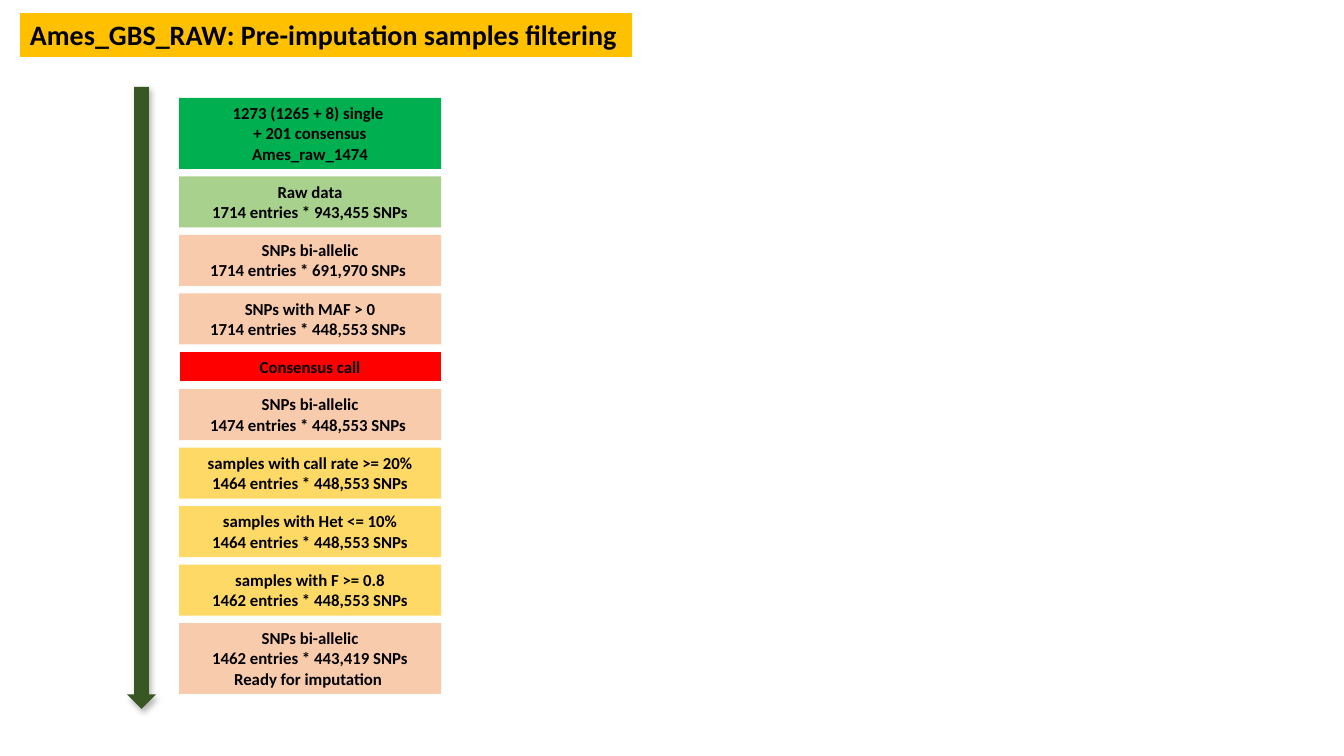
from dataclasses import dataclass

from lxml import etree
from pptx import Presentation, util as u
from pptx.dml.color import RGBColor
from pptx.enum import shapes, text
from pptx.oxml import ns

PIXEL = u.Inches(1) / 100.8
FONT = "Calibri"
GREEN, LIGHT_GREEN, RED = "00B050", "A9D18E", "FF0000"
SNP_FILTER, SAMPLE_FILTER = "F8CBAD", "FFD966"

STEP_LEFT, STEP_WIDTH = 179, 262
STEPS_TOP, STEPS_BOTTOM = 98, 694
HEIGHT_BY_LINES = {1: 30, 2: 51, 3: 71}


@dataclass(frozen=True)
class Step:
    fill: str
    lines: tuple[str, ...]
    outline: str = ""

    @property
    def height(self) -> int:
        return HEIGHT_BY_LINES[len(self.lines)]


STEPS = [
    Step(GREEN, ("1273 (1265 + 8) single ", "+ 201 consensus", "Ames_raw_1474")),
    Step(LIGHT_GREEN, ("Raw data", "1714 entries * 943,455 SNPs")),
    Step(SNP_FILTER, ("SNPs bi-allelic", "1714 entries * 691,970 SNPs ")),
    Step(SNP_FILTER, ("SNPs with MAF > 0", "1714 entries * 448,553 SNPs ")),
    Step(RED, ("Consensus call",), outline="FFFFFF"),
    Step(SNP_FILTER, ("SNPs bi-allelic", "1474 entries * 448,553 SNPs ")),
    Step(SAMPLE_FILTER, ("samples with call rate >= 20%", "1464 entries * 448,553 SNPs")),
    Step(SAMPLE_FILTER, ("samples with Het <= 10%", "1464 entries * 448,553 SNPs")),
    Step(SAMPLE_FILTER, ("samples with F >= 0.8", "1462 entries * 448,553 SNPs")),
    Step(SNP_FILTER, ("SNPs bi-allelic", "1462 entries * 443,419 SNPs", "Ready for imputation ")),
]


def px(length: float) -> int:
    return round(length * PIXEL)


def paint(fill, colour: str) -> None:
    fill.solid()
    fill.fore_color.rgb = RGBColor.from_string(colour)


def add_label(parent, left: float, top: float, width: float, height: float,
              fill: str, lines: tuple[str, ...], size: int,
              align: text.PP_ALIGN, wrap: bool):
    label = parent.add_textbox(px(left), px(top), px(width), px(height))
    paint(label.fill, fill)
    frame = label.text_frame
    frame.text = "\n".join(lines)
    frame.word_wrap = wrap
    frame.auto_size = text.MSO_AUTO_SIZE.SHAPE_TO_FIT_TEXT
    for paragraph in frame.paragraphs:
        paragraph.alignment = align
        for run in paragraph.runs:
            run.font.name, run.font.size, run.font.bold = FONT, u.Pt(size), True
            paint(run.font.fill, "000000")
    return label


def add_shadow(shape, colour: str, opacity: int, blur: float, distance: float, angle: int) -> None:
    shape.shadow.inherit = False
    effects = shape.element.spPr.find(ns.qn("a:effectLst"))
    shadow = etree.SubElement(
        effects, ns.qn("a:outerShdw"), blurRad=str(u.Pt(blur)), dist=str(u.Pt(distance)),
        dir=str(angle * 60000), algn="tl", rotWithShape="0")
    shade = etree.SubElement(shadow, ns.qn("a:srgbClr"), val=colour)
    etree.SubElement(shade, ns.qn("a:alpha"), val=str(opacity * 1000))


def add_flow_arrow(parent) -> None:
    arrow = parent.add_shape(shapes.MSO_SHAPE.DOWN_ARROW, px(127), px(87), px(29), px(622))
    paint(arrow.fill, "385723")
    arrow.line.fill.background()
    add_shadow(arrow, "000000", opacity=30, blur=4.5, distance=2.6, angle=53)


def add_steps(parent, steps: list[Step]) -> None:
    free = STEPS_BOTTOM - STEPS_TOP - sum(step.height for step in steps)
    gap = free / (len(steps) - 1)
    top = STEPS_TOP
    for step in steps:
        box = add_label(parent, STEP_LEFT, top, STEP_WIDTH, step.height, step.fill,
                        step.lines, 12, text.PP_ALIGN.CENTER, wrap=True)
        if step.outline:
            paint(box.line.fill, step.outline)
            box.line.width = u.Pt(0.5)
        top += step.height + gap


deck = Presentation()
deck.slide_width, deck.slide_height = u.Inches(13.33), u.Inches(7.5)
slide = deck.slides.add_slide(deck.slide_layouts[6])

# Title
add_label(slide.shapes, 20, 13, 612, 44, "FFC000",
          ("Ames_GBS_RAW: Pre-imputation samples filtering",), 20,
          text.PP_ALIGN.LEFT, wrap=False)

# Direction of the filtering
add_flow_arrow(slide.shapes)

# Filtering steps
pipeline = slide.shapes.add_group_shape()
add_steps(pipeline.shapes, STEPS)

deck.save("out.pptx")
